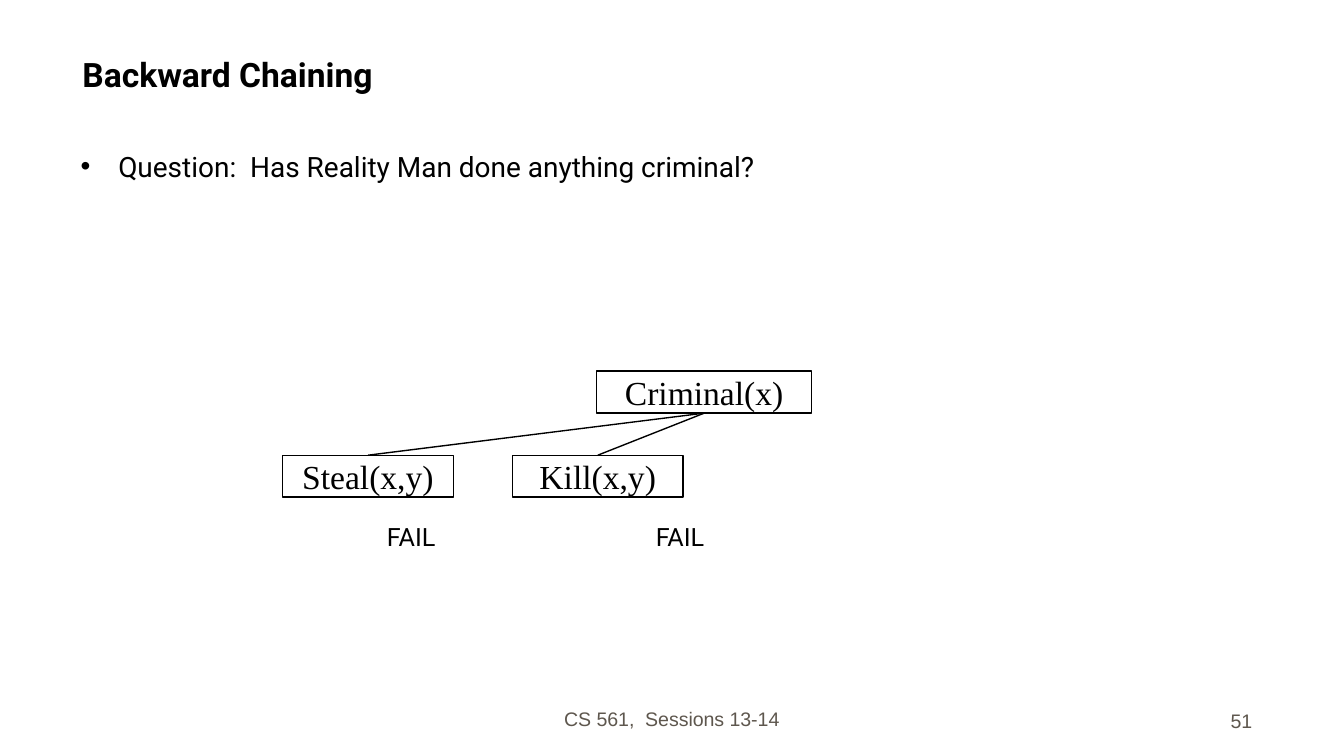
from lxml import etree
from pptx import Presentation
from pptx.dml.color import RGBColor
from pptx.enum.shapes import MSO_CONNECTOR, MSO_SHAPE
from pptx.enum.text import MSO_ANCHOR, PP_ALIGN
from pptx.oxml.ns import qn
from pptx.util import Inches, Pt

COLORS = {"text": "000000", "footer": "5E574E"}

# Widescreen slide, 16 to 9
presentation = Presentation()
presentation.slide_width = Inches(10)
presentation.slide_height = presentation.slide_width * 9 // 16
slide = presentation.slides.add_slide(presentation.slide_layouts[5])

# Grid of 100 columns by 100 rows
COLUMN = presentation.slide_width / 100
ROW = presentation.slide_height / 100


def place(left, top, width, height):
    return [round(value) for value in
            (left * COLUMN, top * ROW, width * COLUMN, height * ROW)]


def write(shape, text, size, font="Roboto", color="text",
          align=PP_ALIGN.LEFT, anchor=MSO_ANCHOR.TOP, bold=False):
    frame = shape.text_frame
    frame.text = text
    frame.word_wrap = True
    frame.vertical_anchor = anchor
    paragraph = frame.paragraphs[0]
    paragraph.alignment = align
    run_font = paragraph.runs[0].font
    run_font.name, run_font.size, run_font.bold = font, Pt(size), bold
    run_font.color.rgb = RGBColor.from_string(COLORS[color])
    return paragraph


# Title
title = slide.shapes.title
title.left, title.top, title.width, title.height = place(5.13, 3.4, 89.2, 9.95)
write(title, "Backward Chaining", 18, anchor=MSO_ANCHOR.BOTTOM, bold=True)

# Question with a bullet
question = slide.shapes.add_textbox(*place(5.02, 18.85, 89.4, 69.5))
paragraph = write(question, "Question:  Has Reality Man done anything criminal?", 15)
properties = paragraph._p.get_or_add_pPr()
properties.set("marL", str(Inches(0.28)))
properties.set("indent", str(-Inches(0.28)))
etree.SubElement(properties, qn("a:buFont"), typeface="Arial")
etree.SubElement(properties, qn("a:buChar"), char="•")

# Goal tree: the goal above, its subgoals below
NODE_HEIGHT = 5.55
nodes = {}
for text, left, top, width in [("Criminal(x)", 44.4, 49.1, 16),
                               ("Kill(x,y)", 38.13, 60.22, 12.7),
                               ("Steal(x,y)", 21.03, 60.22, 12.7)]:
    node = slide.shapes.add_shape(MSO_SHAPE.RECTANGLE,
                                  *place(left, top, width, NODE_HEIGHT))
    node.shadow.inherit = False
    node.fill.background()
    node.line.color.rgb = RGBColor.from_string(COLORS["text"])
    node.line.width = Pt(0.75)
    write(node, text, 18, font="Times New Roman",
          align=PP_ALIGN.CENTER, anchor=MSO_ANCHOR.MIDDLE)
    nodes[text] = node

# Branches from the bottom of the goal to the top of each subgoal
for subgoal in ("Kill(x,y)", "Steal(x,y)"):
    branch = slide.shapes.add_connector(MSO_CONNECTOR.STRAIGHT, 0, 0, 0, 0)
    branch.begin_connect(nodes["Criminal(x)"], 2)
    branch.end_connect(nodes[subgoal], 0)
    branch.line.color.rgb = RGBColor.from_string(COLORS["text"])
    branch.line.width = Pt(0.75)
    etree.SubElement(branch._element.spPr, qn("a:effectLst"))

# Outcome of each subgoal
for center in (30.6, 50.6):
    outcome = slide.shapes.add_textbox(*place(center - 5, 68.2, 10, 5.4))
    write(outcome, "FAIL", 13.5, align=PP_ALIGN.CENTER, anchor=MSO_ANCHOR.MIDDLE)

# Footer and slide number
for text, left, top, width, align in [
        ("CS 561,  Sessions 13-14", 34.15, 90.8, 31.7, PP_ALIGN.CENTER),
        ("51", 73.35, 91.05, 20.8, PP_ALIGN.RIGHT)]:
    footer = slide.shapes.add_textbox(*place(left, top, width, 6.7))
    write(footer, text, 10.5, font="Arial", color="footer",
          align=align, anchor=MSO_ANCHOR.BOTTOM)

presentation.save("out.pptx")
